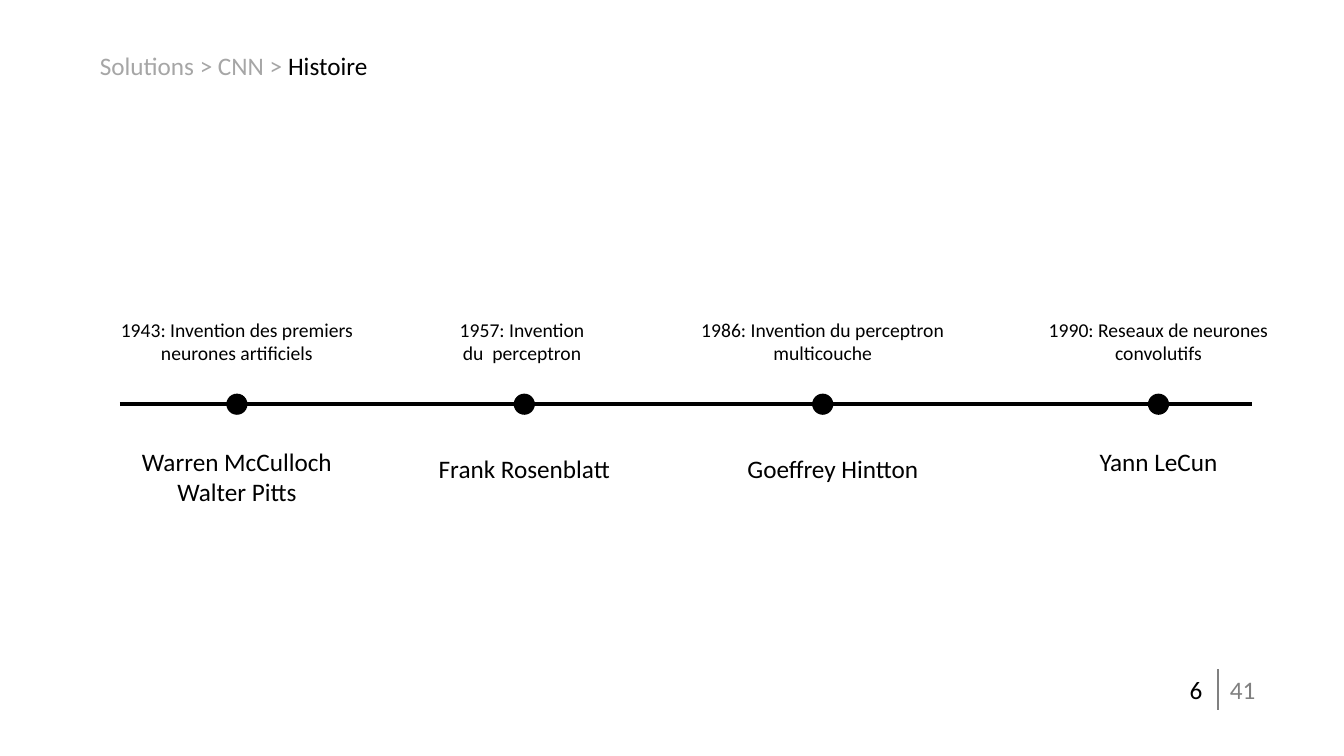
from lxml import etree
from pptx import Presentation
from pptx.dml.color import RGBColor
from pptx.enum import shapes, text
from pptx.oxml import ns
from pptx.util import Inches, Pt

COLORS = {"ink": "000000", "grey": "808080", "trail": "A6A6A6"}
LEFT, CENTER = text.PP_ALIGN.LEFT, text.PP_ALIGN.CENTER

deck = Presentation()
deck.slide_width, deck.slide_height = Inches(13.33), Inches(7.5)
slide = deck.slides.add_slide(deck.slide_layouts[5])


def write(box, place, paragraphs, size=18, align=LEFT):
    box.left, box.top, box.width, box.height = map(Inches, place)
    frame = box.text_frame
    frame.word_wrap = True
    frame.auto_size = text.MSO_AUTO_SIZE.SHAPE_TO_FIT_TEXT
    frame.vertical_anchor = text.MSO_ANCHOR.TOP
    for index, runs in enumerate(paragraphs):
        paragraph = frame.add_paragraph() if index else frame.paragraphs[0]
        paragraph.alignment = align
        for words, color in runs:
            run = paragraph.add_run()
            run.text = words
            run.font.name = "Calibri"
            run.font.size = Pt(size)
            run.font.color.rgb = RGBColor.from_string(COLORS[color])


def draw_line(start, end, color, width):
    line = slide.shapes.add_connector(
        shapes.MSO_CONNECTOR.STRAIGHT, *map(Inches, start + end))
    line.line.color.rgb = RGBColor.from_string(COLORS[color])
    line.line.width = Pt(width)
    etree.SubElement(line._element.spPr, ns.qn("a:effectLst"))


write(slide.shapes.title, (0.89, 0.45, 7.41, 0.4),
      [[("Solutions > CNN > ", "trail"), ("Histoire", "ink")]])

page_marks = [
    ("6", "ink", (11.7, 6.64, 0.31, 0.4)),
    ("41", "grey", (12.1, 6.64, 0.54, 0.71)),
]
for number, color, place in page_marks:
    write(slide.shapes.add_textbox(0, 0, 0, 0), place, [[(number, color)]])
draw_line((12.08, 6.64), (12.08, 7.04), "grey", 1.5)

axis_y, dot_size = 4.01, 0.21
draw_line((1.19, axis_y), (12.42, axis_y), "ink", 3)

milestones = [
    (2.35, ["1943: Invention des premiers neurones artificiels"],
     2.35, 4.38, ["Warren McCulloch", "Walter Pitts"]),
    (5.2, ["1957: Invention ", "du  perceptron "],
     5.2, 4.45, ["Frank Rosenblatt"]),
    (8.16, ["1986: Invention du perceptron multicouche"],
     8.26, 4.45, ["Goeffrey Hintton"]),
    (11.49, ["1990: Reseaux de neurones", "convolutifs"],
     11.49, 4.38, ["Yann LeCun"]),
]
for event_x, event, people_x, people_top, people in milestones:
    dot = slide.shapes.add_shape(
        shapes.MSO_SHAPE.OVAL, Inches(event_x - dot_size / 2),
        Inches(axis_y - dot_size / 2), Inches(dot_size), Inches(dot_size))
    dot.shadow.inherit = False
    dot.fill.solid()
    dot.fill.fore_color.rgb = RGBColor.from_string(COLORS["ink"])
    dot.line.fill.background()
    write(slide.shapes.add_textbox(0, 0, 0, 0),
          (event_x - 2.79 / 2, 3.1, 2.79, 0.57),
          [[(words, "ink")] for words in event], 14, CENTER)
    write(slide.shapes.add_textbox(0, 0, 0, 0),
          (people_x - 2.59 / 2, people_top, 2.59, 0.4 if len(people) == 1 else 0.71),
          [[(person, "ink")] for person in people], 18, CENTER)

deck.save("out.pptx")
